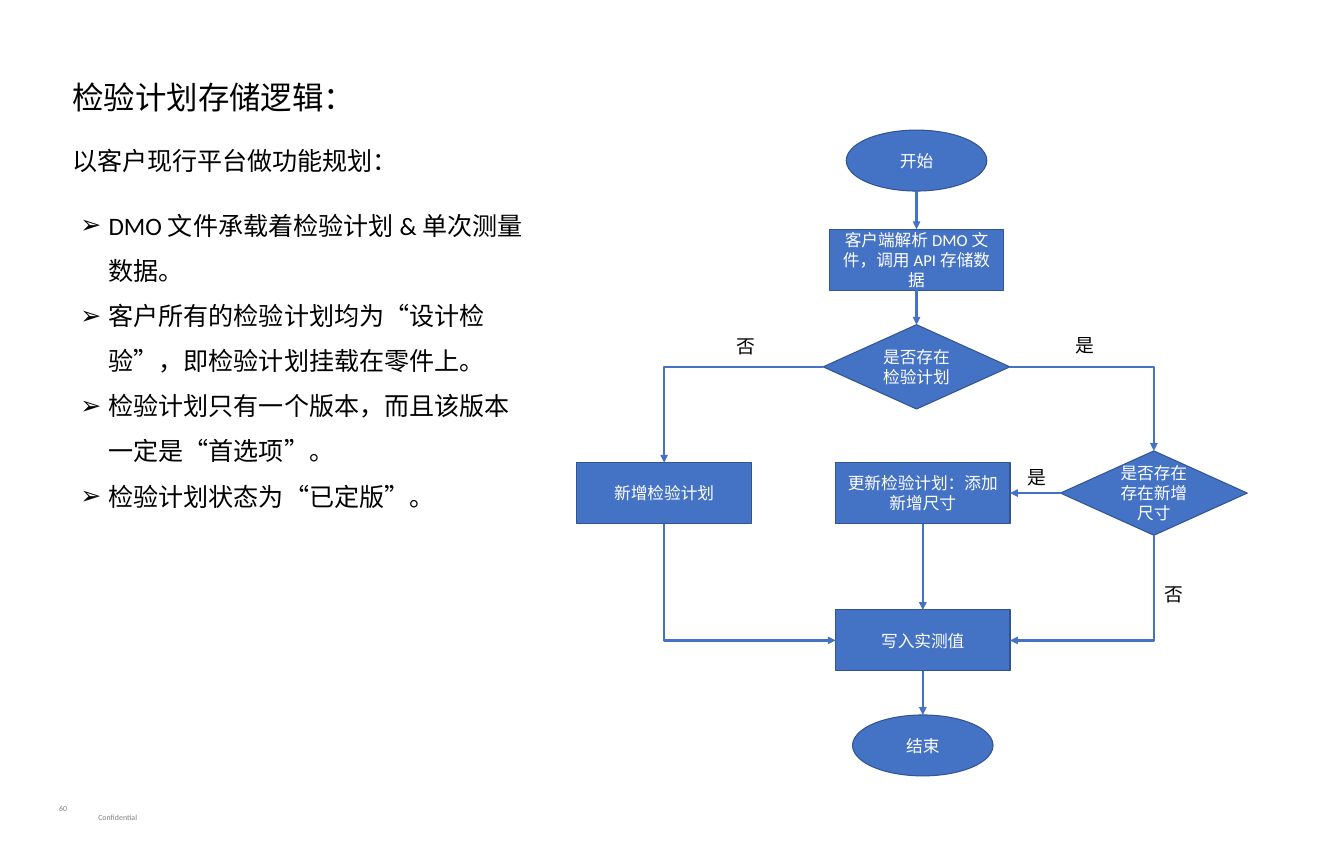
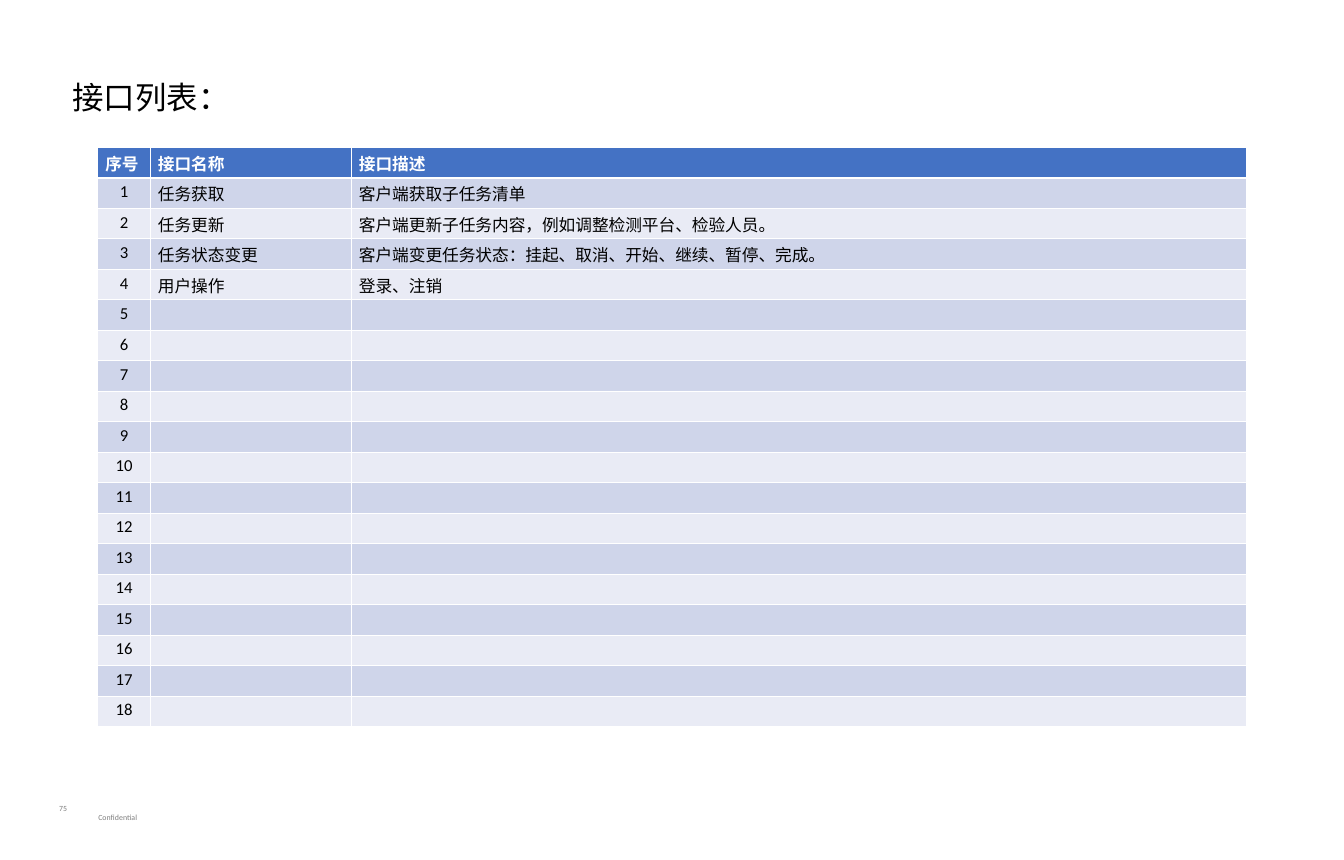
from dataclasses import dataclass
from enum import IntEnum
from typing import Any

from lxml.etree import SubElement
from pptx import Presentation
from pptx.dml.color import RGBColor
from pptx.enum.shapes import MSO_CONNECTOR, MSO_SHAPE
from pptx.enum.text import MSO_ANCHOR, MSO_AUTO_SIZE, PP_ALIGN
from pptx.oxml.ns import qn
from pptx.util import Pt

FONT = "Calibri"
BLUE, EDGE, WHITE, BLACK, GREY = "4472C4", "325491", "FFFFFF", "000000", "7F7F7F"
BANDS = ("E9EBF5", "CFD5EA")


class Side(IntEnum):
    TOP = 0
    LEFT = 1
    BOTTOM = 2
    RIGHT = 3


@dataclass(frozen=True)
class Kind:
    shape: MSO_SHAPE
    width: float
    height: float


@dataclass(frozen=True)
class Node:
    key: str
    kind: Kind
    mid_x: float
    mid_y: float
    text: str


@dataclass(frozen=True)
class Link:
    start: str
    leave: Side
    end: str
    enter: Side


@dataclass(frozen=True)
class Label:
    left: float
    top: float
    text: str


OVAL = Kind(MSO_SHAPE.OVAL, 134.6, 58.4)
BOX = Kind(MSO_SHAPE.RECTANGLE, 167, 58.4)
TEST = Kind(MSO_SHAPE.FLOWCHART_DECISION, 178.8, 80.8)

COL_NEW, COL_TOP, COL_LOW, COL_SIZE = 635.8, 877.4, 883.4, 1104.6
ROW_PLAN, ROW_WORK = 351.4, 472.3

NODES = (
    Node("start", OVAL, COL_TOP, 153.8, "开始"),
    Node("load", BOX, COL_TOP, 248.8, "客户端解析DMO文件，调用API存储数据"),
    Node("plan", TEST, COL_TOP, ROW_PLAN, "是否存在检验计划"),
    Node("new", BOX, COL_NEW, ROW_WORK, "新增检验计划"),
    Node("update", BOX, COL_LOW, ROW_WORK, "更新检验计划：添加新增尺寸"),
    Node("size", TEST, COL_SIZE, ROW_WORK, "是否存在存在新增尺寸"),
    Node("write", BOX, COL_LOW, 613.4, "写入实测值"),
    Node("end", OVAL, COL_LOW, 714, "结束"),
)
LINKS = (
    Link("start", Side.BOTTOM, "load", Side.TOP),
    Link("load", Side.BOTTOM, "plan", Side.TOP),
    Link("plan", Side.LEFT, "new", Side.TOP),
    Link("plan", Side.RIGHT, "size", Side.TOP),
    Link("size", Side.LEFT, "update", Side.RIGHT),
    Link("size", Side.BOTTOM, "write", Side.RIGHT),
    Link("new", Side.BOTTOM, "write", Side.LEFT),
    Link("update", Side.BOTTOM, "write", Side.TOP),
    Link("write", Side.BOTTOM, "end", Side.TOP),
)
LABELS = (
    Label(1022.4, 316, "是"),
    Label(697.7, 316.8, "否"),
    Label(1108, 555, "否"),
    Label(977, 442.8, "是"),
)
POINTS = (
    "DMO文件承载着检验计划&单次测量数据。",
    "客户所有的检验计划均为“设计检验”，即检验计划挂载在零件上。",
    "检验计划只有一个版本，而且该版本一定是“首选项”。",
    "检验计划状态为“已定版”。",
)
HEADS = ("序号", "接口名称", "接口描述")
CALLS = (
    ("任务获取", "客户端获取子任务清单"),
    ("任务更新", "客户端更新子任务内容，例如调整检测平台、检验人员。"),
    ("任务状态变更", "客户端变更任务状态：挂起、取消、开始、继续、暂停、完成。"),
    ("用户操作", "登录、注销"),
)
COUNT = 18
WIDTHS = (50.4, 192.4, 857)
ROW = 29.2


def tint(code: str) -> RGBColor:
    return RGBColor.from_string(code)


def style(frame: Any, size: float, color: str = BLACK, align: PP_ALIGN = PP_ALIGN.LEFT,
          bold: bool = False) -> None:
    for para in frame.paragraphs:
        para.alignment = align
        for run in para.runs:
            run.font.name = FONT
            run.font.size = Pt(size)
            run.font.bold = bold
            run.font.color.rgb = tint(color)


def write(slide: Any, left: float, top: float, width: float, height: float,
          text: str, size: float, color: str = BLACK,
          align: PP_ALIGN = PP_ALIGN.LEFT) -> Any:
    frame = slide.shapes.add_textbox(Pt(left), Pt(top), Pt(width), Pt(height)).text_frame
    frame.word_wrap = True
    frame.text = text
    style(frame, size, color, align)
    return frame


def add_page(deck: Any, title: str, number: int) -> Any:
    slide = deck.slides.add_slide(deck.slide_layouts[5])
    head = slide.shapes.title
    head.left, head.top, head.width, head.height = Pt(62), Pt(71.3), Pt(1129.6), Pt(44)
    frame = head.text_frame
    frame.text = title
    frame.word_wrap = True
    frame.auto_size = MSO_AUTO_SIZE.NONE
    frame.vertical_anchor = MSO_ANCHOR.TOP
    style(frame, 30.1)
    foot = write(slide, 87, 774.8, 794, 16.4, "Confidential", 7.5, GREY)
    foot.vertical_anchor = MSO_ANCHOR.BOTTOM
    write(slide, 31, 766, 59, 16.4, str(number), 7.5, GREY, PP_ALIGN.CENTER)
    return slide


def add_node(slide: Any, node: Node) -> Any:
    kind = node.kind
    shape = slide.shapes.add_shape(
        kind.shape, Pt(node.mid_x - kind.width / 2), Pt(node.mid_y - kind.height / 2),
        Pt(kind.width), Pt(kind.height))
    shape.shadow.inherit = False
    shape.fill.solid()
    shape.fill.fore_color.rgb = tint(BLUE)
    shape.line.color.rgb = tint(EDGE)
    shape.line.width = Pt(1)
    frame = shape.text_frame
    frame.word_wrap = True
    frame.vertical_anchor = MSO_ANCHOR.MIDDLE
    frame.text = node.text
    style(frame, 16, WHITE, PP_ALIGN.CENTER)
    return shape


def turn_down(wire: Any) -> None:
    rise, run = wire.height, wire.width
    mid_x, mid_y = wire.left + run // 2, wire.top + rise // 2
    right = wire.end_x > wire.begin_x
    wire.left, wire.top = mid_x - rise // 2, mid_y - run // 2
    wire.width, wire.height = rise, run
    frame = wire.element.spPr.find(qn("a:xfrm"))
    frame.set("rot", "5400000")
    frame.set("flipH", "0")
    frame.set("flipV", "1" if right else "0")


def add_link(slide: Any, link: Link, shapes: dict[str, Any]) -> None:
    bent = link.leave % 2 != link.enter % 2
    wire = slide.shapes.add_connector(
        MSO_CONNECTOR.ELBOW if bent else MSO_CONNECTOR.STRAIGHT, 0, 0, 0, 0)
    wire.begin_connect(shapes[link.start], link.leave)
    wire.end_connect(shapes[link.end], link.enter)
    if shapes[link.start].auto_shape_type == MSO_SHAPE.OVAL:
        wire.element.find(".//" + qn("a:stCxn")).set("idx", str(link.leave * 2))
    props = wire.element.spPr
    if bent:
        props.find(qn("a:prstGeom")).set("prst", "bentConnector2")
        if link.leave == Side.BOTTOM:
            turn_down(wire)
    wire.line.color.rgb = tint(BLUE)
    wire.line.width = Pt(2.5)
    SubElement(props.find(qn("a:ln")), qn("a:tailEnd"), type="triangle")
    SubElement(props, qn("a:effectLst"))


def add_points(slide: Any) -> None:
    frame = write(slide, 69.8, 183.6, 442, 395.2, POINTS[0], 24)
    for text in POINTS[1:]:
        frame.add_paragraph().text = text
    for para in frame.paragraphs:
        para.line_spacing = 1.5
        props = para._p.get_or_add_pPr()
        props.set("marL", str(Pt(27)))
        props.set("indent", str(Pt(-27)))
        SubElement(props, qn("a:buFont"), typeface=FONT)
        SubElement(props, qn("a:buChar"), char="➢")
    style(frame, 24)


def fill_cell(cell: Any, text: str, color: str, head: bool, align: PP_ALIGN) -> None:
    props = cell._tc.get_or_add_tcPr()
    for side in "LRTB":
        width = 3 if head and side == "B" else 1
        line = SubElement(props, qn(f"a:ln{side}"), w=str(Pt(width)))
        SubElement(SubElement(line, qn("a:solidFill")), qn("a:srgbClr"), val=WHITE)
    cell.fill.solid()
    cell.fill.fore_color.rgb = tint(color)
    if text:
        cell.text_frame.text = text
        style(cell.text_frame, 16, WHITE if head else BLACK, align, head)
    else:
        SubElement(cell.text_frame.paragraphs[0]._p, qn("a:endParaRPr"), sz="1600")


def add_grid(slide: Any) -> None:
    grid = slide.shapes.add_table(
        COUNT + 1, len(WIDTHS), Pt(93.6), Pt(141.2), Pt(sum(WIDTHS)),
        Pt(ROW * (COUNT + 1))).table
    for col, width in zip(grid.columns, WIDTHS):
        col.width = Pt(width)
    blanks = (("", ""),) * (COUNT - len(CALLS))
    rows = [HEADS] + [(str(num), *call) for num, call in enumerate(CALLS + blanks, 1)]
    for y, texts in enumerate(rows):
        grid.rows[y].height = Pt(ROW)
        for x, text in enumerate(texts):
            align = PP_ALIGN.CENTER if y and not x else PP_ALIGN.LEFT
            fill_cell(grid.cell(y, x), text, BANDS[y % 2] if y else BLUE, y == 0, align)


def add_flow(slide: Any) -> None:
    shapes = {node.key: add_node(slide, node) for node in NODES}
    for link in LINKS:
        add_link(slide, link, shapes)
    for label in LABELS:
        write(slide, label.left, label.top, 40, 29, label.text, 18)


def main() -> None:
    deck = Presentation()
    deck.slide_width, deck.slide_height = Pt(1286.6), Pt(823.7)
    logic = add_page(deck, "检验计划存储逻辑：", 60)
    add_flow(logic)
    add_points(logic)
    intro = write(logic, 62, 121, 415.4, 46.8, "以客户现行平台做功能规划：", 24)
    intro.paragraphs[0].line_spacing = 1.5
    add_grid(add_page(deck, "接口列表：", 75))
    deck.save("out.pptx")


if __name__ == "__main__":
    main()
